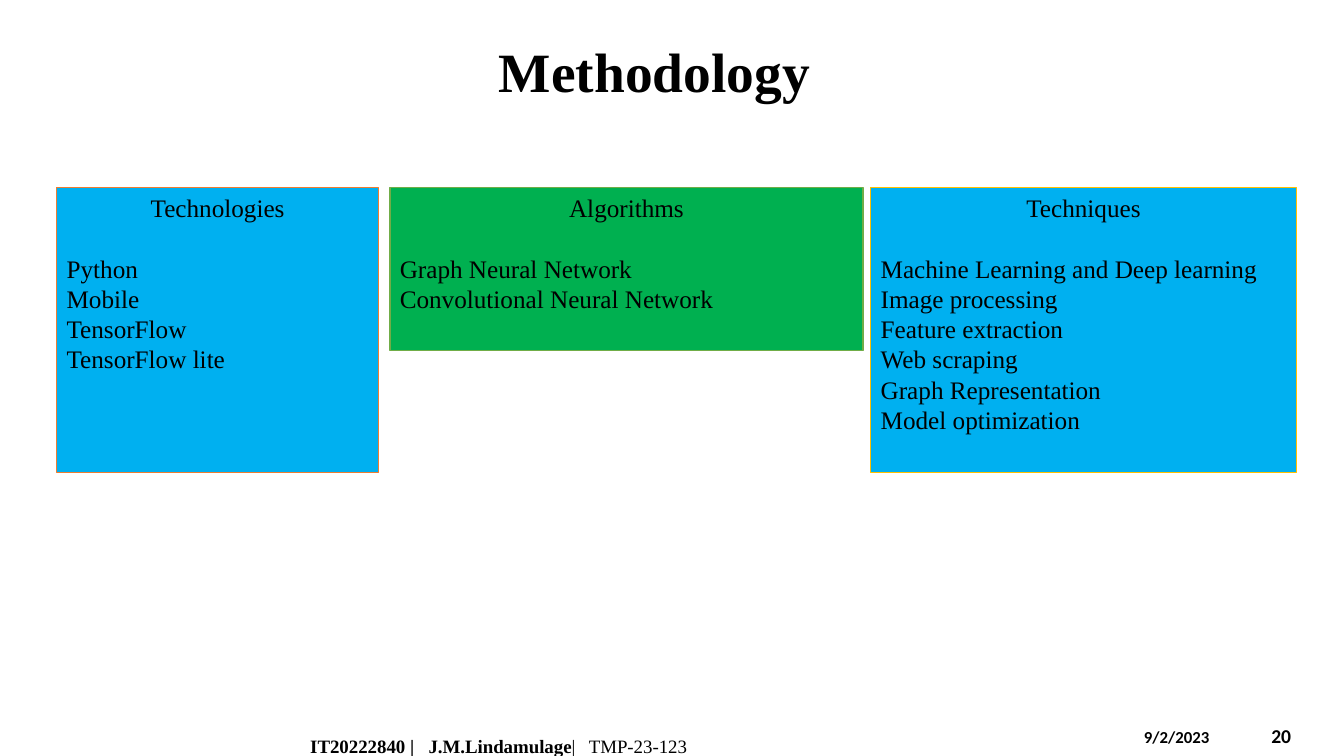
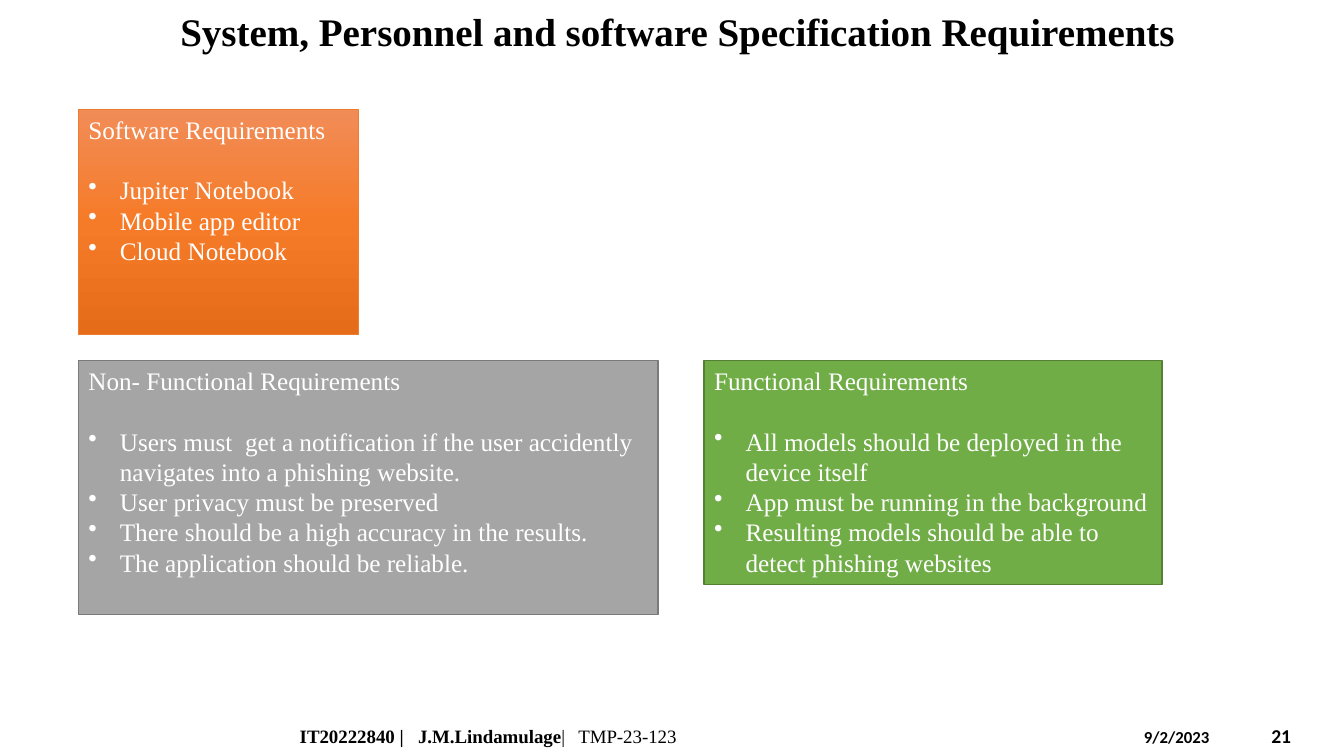
import copy
from dataclasses import dataclass

import pptx
import pptx.dml.color
import pptx.enum.shapes
import pptx.enum.text
import pptx.oxml
import pptx.oxml.ns
import pptx.util

Pt = pptx.util.Pt
ALIGN = pptx.enum.text.PP_ALIGN
ANCHOR = pptx.enum.text.MSO_ANCHOR


@dataclass(frozen=True)
class Theme:
    serif: str = "Times New Roman"
    sans: str = "Calibri"
    black: str = "000000"
    white: str = "FFFFFF"
    blue: str = "00B0F0"
    emerald: str = "00B050"
    green: str = "70AD47"
    dark_green: str = "538035"
    orange: str = "ED7D31"
    gold: str = "FFC000"
    gray: str = "A5A5A5"
    dark_gray: str = "7A7A7A"
    orange_fade: tuple = ("F18C57", "F67B28", "E56C19")
    body_size: float = 18
    line_pitch: float = 21.6
    bullet_indent: float = 22.5
    footer_size: float = 13.5
    date_size: float = 12
    number_size: float = 14


theme = Theme()
rgb = pptx.dml.color.RGBColor.from_string


def add_run(paragraph, text, size, color=theme.black, bold=False, font=theme.serif):
    run = paragraph.add_run()
    run.text = text
    run.font.name = font
    run.font.size = Pt(size)
    run.font.bold = bold
    run.font.color.rgb = rgb(color)


def add_label(slide, area):
    """Add a vertically centred text box and return its first paragraph."""
    frame = slide.shapes.add_textbox(*map(Pt, area)).text_frame
    frame.word_wrap = True
    frame.vertical_anchor = ANCHOR.MIDDLE
    return frame.paragraphs[0]


# Each panel: area, fill, line colour, line width, heading, items
slides = [
    dict(
        title="Methodology", title_size=39.6, title_area=(66, 29, 803, 48),
        footer_area=(214.5, 525, 298, 15), number="20",
        heading_align=ALIGN.CENTER, text_color=theme.black, bulleted=False,
        panels=[
            ((40.5, 134, 230, 203.5), theme.blue, theme.orange, 1, "Technologies",
             ["Python", "Mobile", "TensorFlow", "TensorFlow lite"]),
            ((278.5, 134, 338, 116.5), theme.emerald, theme.green, 1, "Algorithms",
             ["Graph Neural Network", "Convolutional Neural Network"]),
            ((622, 134, 304, 203.5), theme.blue, theme.gold, 1, "Techniques",
             ["Machine Learning and Deep learning", "Image processing",
              "Feature extraction", "Web scraping", "Graph Representation",
              "Model optimization"]),
        ],
    ),
    dict(
        title="System, Personnel and software Specification Requirements",
        title_size=27.9, title_area=(24, 9.5, 920, 29),
        footer_area=(207, 511, 536, 29), number="21",
        heading_align=ALIGN.LEFT, text_color=theme.white, bulleted=True,
        panels=[
            ((56, 78, 200, 161), theme.orange_fade, theme.orange, 0.5,
             "Software Requirements",
             ["Jupiter Notebook", "Mobile app editor", "Cloud Notebook"]),
            ((503, 257.5, 327, 160), theme.green, theme.dark_green, 1,
             "Functional Requirements",
             ["All models should be deployed in the device itself",
              "App must be running in the background",
              "Resulting models should be able to detect phishing websites"]),
            ((56, 257.5, 414, 181.5), theme.gray, theme.dark_gray, 1,
             "Non- Functional Requirements",
             ["Users must  get a notification if the user accidently navigates "
              "into a phishing website.",
              "User privacy must be preserved",
              "There should be a high accuracy in the results.",
              "The application should be reliable."]),
        ],
    ),
]

presentation = pptx.Presentation()
presentation.slide_width = Pt(960)
presentation.slide_height = Pt(540)
title_only = presentation.slide_layouts[5]

for content in slides:
    slide = presentation.slides.add_slide(title_only)

    title = slide.shapes.title
    title.left, title.top, title.width, title.height = map(Pt, content["title_area"])
    title.text_frame.auto_size = pptx.enum.text.MSO_AUTO_SIZE.NONE
    title.text_frame.vertical_anchor = ANCHOR.MIDDLE
    heading = title.text_frame.paragraphs[0]
    heading.alignment = ALIGN.CENTER
    heading.line_spacing = 0.9
    add_run(heading, content["title"], content["title_size"], bold=True)

    for area, fill, line_color, line_width, topic, items in content["panels"]:
        panel = slide.shapes.add_shape(
            pptx.enum.shapes.MSO_SHAPE.RECTANGLE, *map(Pt, area))
        panel.shadow.inherit = False
        panel.line.color.rgb = rgb(line_color)
        panel.line.width = Pt(line_width)
        if isinstance(fill, tuple):
            panel.fill.gradient()
            panel.fill.gradient_angle = 270
            stops = panel._element.find(".//" + pptx.oxml.ns.qn("a:gsLst"))
            stops.insert(1, copy.deepcopy(stops[0]))
            for index, stop in enumerate(panel.fill.gradient_stops):
                stop.position = index / 2
                stop.color.rgb = rgb(fill[index])
        else:
            panel.fill.solid()
            panel.fill.fore_color.rgb = rgb(fill)

        frame = panel.text_frame
        frame.word_wrap = True
        frame.vertical_anchor = ANCHOR.TOP
        for index, text in enumerate([topic] + items):
            paragraph = frame.add_paragraph() if index else frame.paragraphs[0]
            if index and content["bulleted"]:
                properties = paragraph._p.get_or_add_pPr()
                properties.set("marL", str(Pt(theme.bullet_indent)))
                properties.set("indent", str(-Pt(theme.bullet_indent)))
                properties.append(pptx.oxml.parse_xml(
                    f'<a:buChar {pptx.oxml.ns.nsdecls("a")} char="•"/>'))
            paragraph.alignment = ALIGN.LEFT if index else content["heading_align"]
            paragraph.line_spacing = Pt(theme.line_pitch)
            if index == 0:
                paragraph.space_after = Pt(theme.line_pitch)
            add_run(paragraph, text, theme.body_size, content["text_color"])

    footer = add_label(slide, content["footer_area"])
    footer._p.get_or_add_pPr().append(pptx.oxml.parse_xml(
        f'<a:tabLst {pptx.oxml.ns.nsdecls("a")}>'
        + "".join(f'<a:tab pos="{Pt(stop)}" algn="l"/>' for stop in (84.5, 199))
        + "</a:tabLst>"))
    add_run(footer, "IT20222840 |\tJ.M.Lindamulage", theme.footer_size, bold=True)
    add_run(footer, "|\tTMP-23-123", theme.footer_size)

    date = add_label(slide, (810, 515, 84, 22))
    add_run(date, "9/2/2023", theme.date_size, bold=True, font=theme.sans)
    number = add_label(slide, (901, 511, 53, 29))
    add_run(number, content["number"], theme.number_size, bold=True, font=theme.sans)

presentation.save("out.pptx")
